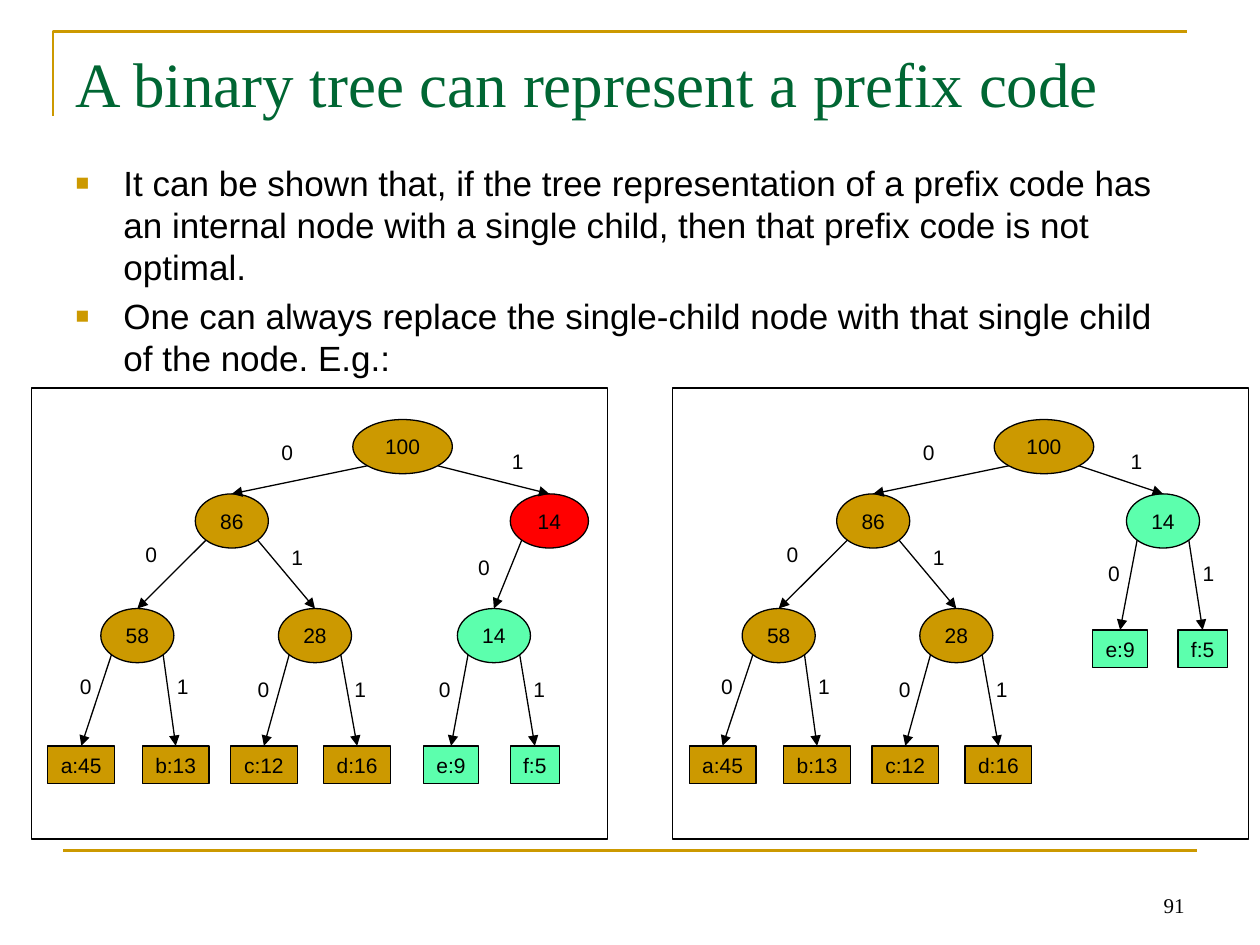
import pptx
import pptx.util
import pptx.dml.color
import pptx.enum.shapes
import pptx.enum.text
import pptx.oxml
import pptx.oxml.ns

Inches = pptx.util.Inches
Pt = pptx.util.Pt
Shape = pptx.enum.shapes.MSO_SHAPE
Align = pptx.enum.text.PP_ALIGN
Anchor = pptx.enum.text.MSO_ANCHOR

GOLD, MINT, RED, GREEN, BLACK = "CC9900", "5CFFAD", "FF0000", "006633", "000000"
ROOT, MID, LOW, LEAF = 3.33, 3.92, 4.83, 5.92
SHIFT = 5.09
OVAL, BOX, DIAG = 0.43, 0.3, 0.7071


def color(code):
    return pptx.dml.color.RGBColor.from_string(code)


def add_xml(owner, tag, **attrs):
    node = pptx.oxml.parse_xml(f"<a:{tag} {pptx.oxml.ns.nsdecls('a')}/>")
    for key, val in attrs.items():
        node.set(key, val)
    owner.append(node)
    return node


class Deck:
    sans, serif = "Arial", "Times New Roman"

    def __init__(self):
        self.prs = pptx.Presentation()
        self.prs.slide_width, self.prs.slide_height = Inches(10), Inches(7.5)
        self.slide = self.prs.slides.add_slide(self.prs.slide_layouts[1])
        self.shapes = self.slide.shapes

    def group(self):
        self.shapes = self.slide.shapes.add_group_shape().shapes

    def style(self, par, size, face, code, align):
        par.alignment = align
        for run in par.runs:
            run.font.size, run.font.name = Pt(size), face
            run.font.color.rgb = color(code)

    def place(self, shape, x, y, w, h):
        shape.left, shape.top = Inches(x), Inches(y)
        shape.width, shape.height = Inches(w), Inches(h)

    def title(self, text):
        head = self.slide.shapes.title
        self.place(head, 0.5, 0.3, 9, 1.25)
        frame = head.text_frame
        frame.text = text
        frame.vertical_anchor = Anchor.TOP
        frame.auto_size = pptx.enum.text.MSO_AUTO_SIZE.NONE
        self.style(frame.paragraphs[0], 36, self.serif, GREEN, Align.LEFT)

    def body(self, items):
        box = self.slide.placeholders[1]
        self.place(box, 0.5, 1.23, 9, 1.28)
        frame = box.text_frame
        frame.text = "\n".join(items)
        frame.auto_size = pptx.enum.text.MSO_AUTO_SIZE.NONE
        for i, par in enumerate(frame.paragraphs):
            par.space_before = Pt(4 if i else 0)
            props = par._p.get_or_add_pPr()
            props.set("marL", str(Inches(0.38)))
            props.set("indent", str(-Inches(0.38)))
            add_xml(add_xml(props, "buClr"), "srgbClr", val=GOLD)
            add_xml(props, "buSzPct", val="65000")
            add_xml(props, "buFont", typeface=self.sans)
            add_xml(props, "buChar", char="■")
            self.style(par, 20, self.sans, BLACK, Align.LEFT)

    def label(self, text, x, y, w, h, face=sans, align=Align.CENTER, anchor=Anchor.TOP):
        box = self.shapes.add_textbox(Inches(x), Inches(y), Inches(w), Inches(h))
        frame = box.text_frame
        frame.text, frame.word_wrap = text, True
        frame.vertical_anchor = anchor
        self.style(frame.paragraphs[0], 12, face, BLACK, align)

    def shape(self, kind, x, y, w, h, fill=None, text=""):
        shape = self.shapes.add_shape(kind, Inches(x), Inches(y), Inches(w), Inches(h))
        shape.shadow.inherit = False
        if fill:
            shape.fill.solid()
            shape.fill.fore_color.rgb = color(fill)
        else:
            shape.fill.background()
        shape.line.color.rgb, shape.line.width = color(BLACK), Pt(0.75)
        if text:
            frame = shape.text_frame
            frame.text, frame.word_wrap = text, False
            frame.vertical_anchor = Anchor.MIDDLE
            self.style(frame.paragraphs[0], 12, self.sans, BLACK, Align.CENTER)
        return shape

    def line(self, x1, y1, x2, y2, code=BLACK, width=0.75, end=None):
        line = self.shapes.add_connector(
            pptx.enum.shapes.MSO_CONNECTOR.STRAIGHT,
            Inches(x1), Inches(y1), Inches(x2), Inches(y2))
        line.line.color.rgb, line.line.width = color(code), Pt(width)
        if end is not None:
            line.end_connect(end, 0)
            add_xml(line.line._get_or_add_ln(), "tailEnd", type="triangle")
        add_xml(line._element.spPr, "effectLst")

    def corner(self, points):
        pts = [(Inches(x), Inches(y)) for x, y in points]
        path = self.shapes.build_freeform(*pts[0])
        path.add_line_segments(pts[1:], close=False)
        shape = path.convert_to_shape()
        shape.fill.background()
        shape.shadow.inherit = False
        shape.line.color.rgb, shape.line.width = color(GOLD), Pt(1.5)

    def tree(self, dx, nodes, edges):
        self.group()
        made = {}
        for key, (text, x, y, w, fill) in nodes.items():
            leaf = ":" in text
            kind, h = (Shape.RECTANGLE, BOX) if leaf else (Shape.OVAL, OVAL)
            made[key] = self.shape(kind, x + dx, y, w, h, fill, text)
        for top, end, bit, x, y in edges:
            _, left, high, w, _ = nodes[top]
            side = 1 if bit == "1" else -1
            mid = left + dx + w / 2
            self.line(mid + side * DIAG * w / 2, high + OVAL / 2 * (1 + DIAG),
                      mid, high + 1, end=made[end])
            self.label(bit, x + dx, y, 0.3, 0.3)
        self.shape(Shape.RECTANGLE, 0.25 + dx, 3.08, 4.57, 3.58)


NODES = {
    "root": ("100", 2.8, ROOT, 0.79, GOLD),
    "86": ("86", 1.55, MID, 0.58, GOLD),
    "58": ("58", 0.8, LOW, 0.58, GOLD),
    "28": ("28", 2.21, LOW, 0.58, GOLD),
    "a": ("a:45", 0.38, LEAF, 0.53, GOLD),
    "b": ("b:13", 1.13, LEAF, 0.53, GOLD),
    "c": ("c:12", 1.83, LEAF, 0.53, GOLD),
    "d": ("d:16", 2.57, LEAF, 0.53, GOLD),
}
EDGES = [
    ("root", "86", "0", 2.13, 3.44),
    ("86", "58", "0", 1.05, 4.25), ("86", "28", "1", 2.21, 4.27),
    ("58", "a", "0", 0.53, 5.3), ("58", "b", "1", 1.3, 5.3),
    ("28", "c", "0", 1.94, 5.32), ("28", "d", "1", 2.71, 5.32),
]
LONG = {
    "red": ("14", 4.05, MID, 0.62, RED),
    "14": ("14", 3.63, LOW, 0.58, MINT),
    "e": ("e:9", 3.36, LEAF, 0.44, MINT),
    "f": ("f:5", 4.05, LEAF, 0.39, MINT),
}
LINKS = [
    ("root", "red", "1", 3.96, 3.51), ("red", "14", "0", 3.69, 4.35),
    ("14", "e", "0", 3.38, 5.32), ("14", "f", "1", 4.13, 5.32),
]
SHORT = {
    "14": ("14", 3.85, MID, 0.58, MINT),
    "e": ("e:9", 3.58, 5, 0.44, MINT),
    "f": ("f:5", 4.26, 5, 0.39, MINT),
}
JOINS = [
    ("root", "14", "1", 3.78, 3.51),
    ("14", "e", "0", 3.6, 4.4), ("14", "f", "1", 4.35, 4.4),
]


def main():
    deck = Deck()
    deck.corner([(0.42, 0.92), (0.42, 0.25), (9.42, 0.25)])
    deck.line(0.5, 6.75, 9.5, 6.75, GOLD, 1.5)
    deck.label("91", 7.17, 6.83, 2.33, 0.5, deck.serif, Align.RIGHT, Anchor.BOTTOM)
    deck.title("A binary tree can represent a prefix code")
    deck.body([
        "It can be shown that, if the tree representation of a prefix code has an "
        "internal node with a single child, then that prefix code is not optimal.",
        "One can always replace the single-child node with that single child of "
        "the node. E.g.:",
    ])
    deck.tree(0, NODES | LONG, EDGES + LINKS)
    deck.tree(SHIFT, NODES | SHORT, EDGES + JOINS)
    deck.prs.save("out.pptx")


if __name__ == "__main__":
    main()
